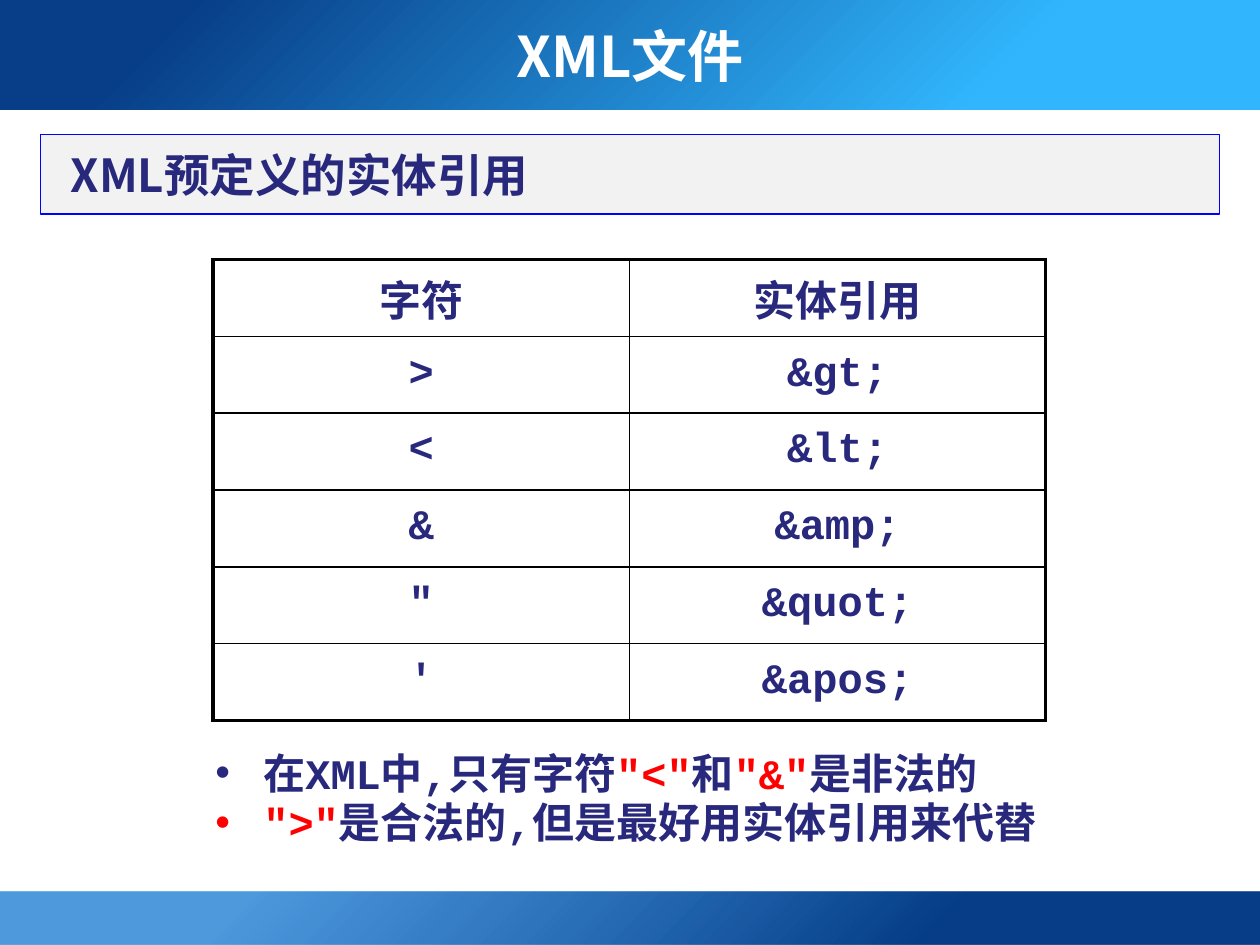
from lxml import etree
from pptx import Presentation
from pptx.dml.color import RGBColor
from pptx.enum.shapes import MSO_SHAPE
from pptx.enum.text import MSO_ANCHOR, MSO_AUTO_SIZE, PP_ALIGN
from pptx.oxml import parse_xml
from pptx.oxml.ns import nsdecls, qn
from pptx.util import Inches, Pt

RECT = MSO_SHAPE.RECTANGLE
MIDDLE, TOP = MSO_ANCHOR.MIDDLE, MSO_ANCHOR.TOP
CENTER, LEFT = PP_ALIGN.CENTER, PP_ALIGN.LEFT
NO_FIT = MSO_AUTO_SIZE.NONE

WHITE = RGBColor(0xFF, 0xFF, 0xFF)
NAVY = RGBColor(0x28, 0x28, 0x7D)
RED = RGBColor(0xFF, 0x00, 0x00)
BLUE = RGBColor(0x00, 0x00, 0xFF)
LIGHT_GRAY = RGBColor(0xF2, 0xF2, 0xF2)
BLACK = RGBColor(0x00, 0x00, 0x00)
DEEP_BLUE = RGBColor(0x07, 0x3E, 0x87)
MID_BLUE = RGBColor(0x02, 0x6D, 0xCE)
SKY_BLUE = RGBColor(0x31, 0xB6, 0xFD)

SANS, MONO = "Noto Sans CJK SC", "Courier New"

ENTITIES = [
    ("字符", "实体引用"),
    (">", "&gt;"),
    ("<", "&lt;"),
    ("&", "&amp;"),
    ('"', "&quot;"),
    ("'", "&apos;"),
]
NOTES = [
    [("在XML中,只有字符".replace(",", ","), NAVY), ('"<"', RED), ("和", NAVY),
     ('"&"', RED), ("是非法的", NAVY)],
    [('">"', RED), ("是合法的,但是最好用实体引用来代替".replace(",", ","), NAVY)],
]


def place(sp, left, top, width, height):
    box = {"left": left, "top": top, "width": width, "height": height}
    for name, value in box.items():
        setattr(sp, name, Inches(value))


def format_frame(tf, anchor, insets=(0.1, 0.05, 0.1, 0.05)):
    values = {"word_wrap": True, "auto_size": NO_FIT, "vertical_anchor": anchor}
    sides = ("margin_left", "margin_top", "margin_right", "margin_bottom")
    values.update(zip(sides, map(Inches, insets)))
    for name, value in values.items():
        setattr(tf, name, value)


def add_run(p, text, size, color, font):
    r = p.add_run()
    r.text = text
    r.font.color.rgb = color
    for name, value in {"size": Pt(size), "bold": True, "name": font}.items():
        setattr(r.font, name, value)
    east_asian = etree.SubElement(r.font.language_id and r._r.rPr or r._r.get_or_add_rPr(), qn("a:ea"))
    east_asian.set("typeface", SANS)


def add_rect(slide, left, top, width, height):
    sp = slide.shapes.add_shape(RECT, Inches(left), Inches(top),
                                Inches(width), Inches(height))
    sp.shadow.inherit = False
    return sp


def add_band(slide, top, height, stops):
    """Gradient band behind the placeholders, centred on its lower right corner."""
    sp = add_rect(slide, -0.01, top, 10.01, height)
    sp.line.fill.background()
    gs = "".join(
        f'<a:gs pos="{pos * 1000}"><a:srgbClr val="{color}">'
        f'<a:alpha val="{alpha * 1000}"/></a:srgbClr></a:gs>'
        for pos, color, alpha in stops)
    grad = parse_xml(
        f'<a:gradFill {nsdecls("a")} rotWithShape="1"><a:gsLst>{gs}</a:gsLst>'
        '<a:path path="circle"><a:fillToRect l="100000" t="100000"/></a:path>'
        '</a:gradFill>')
    sp.element.spPr.find(qn("a:prstGeom")).addnext(grad)
    slide.shapes.title.element.addprevious(sp.element)


def add_title(slide, text):
    title = slide.shapes.title
    place(title, 0, 0.05, 10, 0.77)
    format_frame(title.text_frame, MIDDLE)
    p = title.text_frame.paragraphs[0]
    p.alignment = CENTER
    add_run(p, text, 32, WHITE, SANS)


def add_heading(slide, text):
    sp = add_rect(slide, 0.32, 1.07, 9.36, 0.63)
    sp.fill.solid()
    sp.fill.fore_color.rgb = LIGHT_GRAY
    sp.line.color.rgb = BLUE
    sp.line.width = Pt(0.75)
    format_frame(sp.text_frame, MIDDLE, (0.24, 0.05, 0.28, 0.05))
    p = sp.text_frame.paragraphs[0]
    p.alignment = LEFT
    add_run(p, text, 26, NAVY, SANS)


def set_borders(cell, widths):
    tcPr = cell._tc.get_or_add_tcPr()
    for side, width in widths.items():
        tcPr.append(parse_xml(
            f'<a:ln{side} {nsdecls("a")} w="{Pt(width)}"><a:solidFill>'
            f'<a:srgbClr val="{BLACK}"/></a:solidFill></a:ln{side}>'))


def add_entity_table(slide, rows):
    n_rows, n_cols = len(rows), len(rows[0])
    frame = slide.shapes.add_table(n_rows, n_cols, Inches(1.69), Inches(2.06),
                                   Inches(6.61), Inches(3.66))
    table = frame.table
    table.first_row = table.horz_banding = False
    for i, row in enumerate(rows):
        for j, text in enumerate(row):
            cell = table.cell(i, j)
            # Thick outer frame, thin inner rules
            outer = {"L": j == 0, "R": j == n_cols - 1,
                     "T": i == 0, "B": i == n_rows - 1}
            set_borders(cell, {s: 2.25 if edge else 1 for s, edge in outer.items()})
            cell.fill.background()
            cell.vertical_anchor = MIDDLE
            p = cell.text_frame.paragraphs[0]
            p.alignment = CENTER
            add_run(p, text, 24, NAVY, MONO)


def add_notes_list(slide, items):
    body = slide.placeholders[1]
    place(body, 1.61, 5.95, 7.33, 1.02)
    tf = body.text_frame
    format_frame(tf, TOP)
    for i, runs in enumerate(items):
        p = tf.add_paragraph() if i else tf.paragraphs[0]
        p.line_spacing = 0.82
        p.space_before = Pt(4.8)
        pPr = p._p.get_or_add_pPr()
        pPr.set("marL", str(Inches(0.38)))
        pPr.set("indent", str(Inches(-0.38)))
        etree.SubElement(pPr, qn("a:buChar")).set("char", "•")
        for text, color in runs:
            add_run(p, text, 24, color, MONO)


def main():
    prs = Presentation()
    prs.slide_width, prs.slide_height = Inches(10), Inches(7.5)
    slide = prs.slides.add_slide(prs.slide_layouts[1])

    # Footer and header bands
    add_band(slide, 7.08, 0.42, [(26, DEEP_BLUE, 100), (80, MID_BLUE, 70)])
    add_band(slide, 0, 0.87, [(21, SKY_BLUE, 100), (86, DEEP_BLUE, 100)])

    # Content
    add_title(slide, "XML文件")
    add_entity_table(slide, ENTITIES)
    add_notes_list(slide, NOTES)
    add_heading(slide, "XML预定义的实体引用")

    prs.save("out.pptx")


main()
